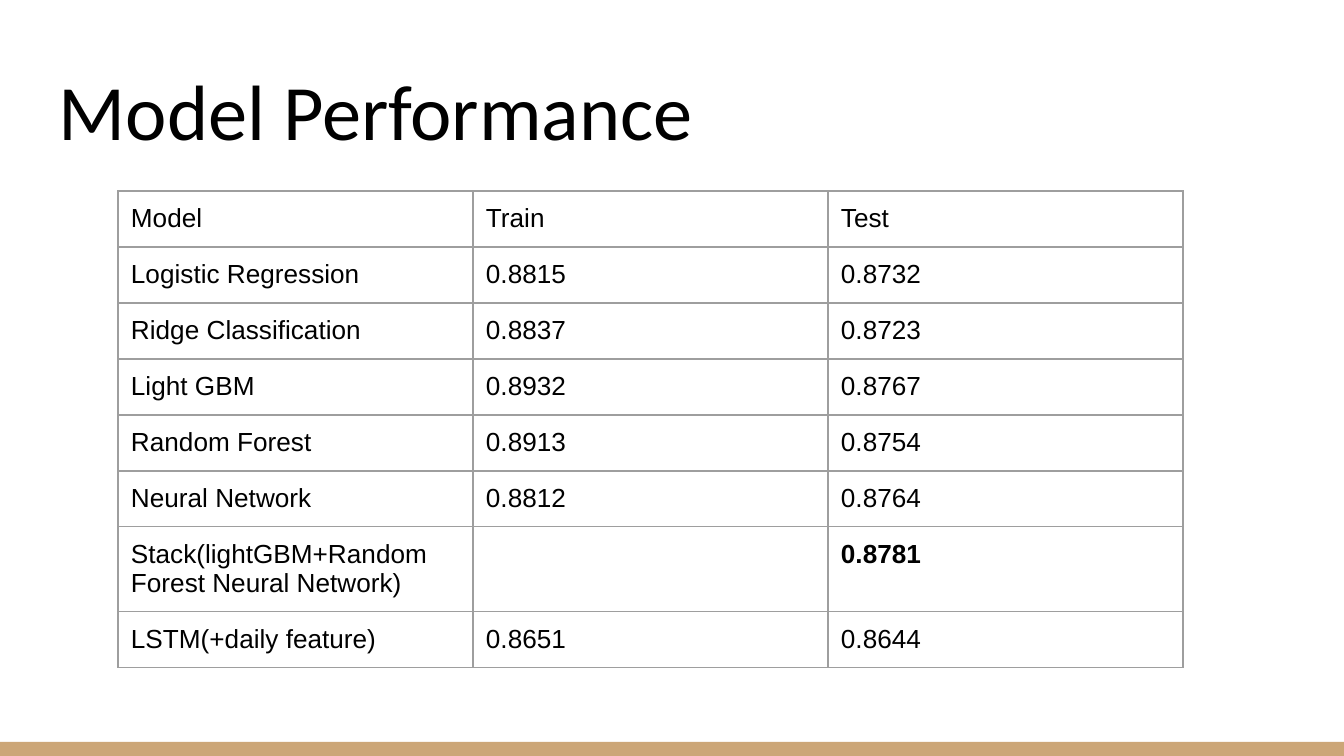
from lxml import etree
from pptx import Presentation, util as u
from pptx.dml.color import RGBColor
from pptx.enum import shapes, text
from pptx.oxml import ns

SCALE = 914400 / 134.4
COLORS = {"text": "000000", "band": "CCA677", "grid": "9E9E9E"}
INSET = 13
ROW_HEIGHT, TALL_ROW_HEIGHT = 56, 85
COLUMN_WIDTH = 355

SCORES = [
    ("Model", "Train", "Test"),
    ("Logistic Regression", "0.8815", "0.8732"),
    ("Ridge Classification", "0.8837", "0.8723"),
    ("Light GBM", "0.8932", "0.8767"),
    ("Random Forest", "0.8913", "0.8754"),
    ("Neural Network", "0.8812", "0.8764"),
    ("Stack(lightGBM+Random Forest Neural Network)", "", "0.8781"),
    ("LSTM(+daily feature)", "0.8651", "0.8644"),
]
BEST = "0.8781"


def px(n):
    return u.Emu(round(n * SCALE))


def write(holder, words, font="Arial", size=14, bold=False, anchor=text.MSO_ANCHOR.TOP):
    """Put words into a text frame or cell, with equal insets on all sides."""
    holder.margin_left = holder.margin_right = px(INSET)
    holder.margin_top = holder.margin_bottom = px(INSET)
    holder.vertical_anchor = anchor
    frame = getattr(holder, "text_frame", holder)
    paragraph = frame.paragraphs[0]
    paragraph.alignment = text.PP_ALIGN.LEFT
    style = paragraph.font
    if words:
        run = paragraph.add_run()
        run.text = words
        style = run.font
    style.name, style.size, style.bold = font, u.Pt(size), bold
    style.color.rgb = RGBColor.from_string(COLORS["text"])


deck = Presentation()
deck.slide_width, deck.slide_height = px(1344), px(756)
slide = deck.slides.add_slide(deck.slide_layouts[5])

band = slide.shapes.add_shape(
    shapes.MSO_SHAPE.RECTANGLE, px(0), px(742), px(1344), px(14))
band.shadow.inherit = False
band.fill.solid()
band.fill.fore_color.rgb = RGBColor.from_string(COLORS["band"])
band.line.fill.background()

title = slide.shapes.title
title.left, title.top, title.width, title.height = px(46), px(47), px(1252), px(122)
title.text_frame.auto_size = text.MSO_AUTO_SIZE.NONE
title.text_frame.word_wrap = True
write(title.text_frame, "Model Performance", font="Calibri", size=42,
      anchor=text.MSO_ANCHOR.BOTTOM)

performance = slide.shapes.add_table(
    len(SCORES), 3, px(118), px(191), px(3 * COLUMN_WIDTH),
    px(7 * ROW_HEIGHT + TALL_ROW_HEIGHT)).table
performance.first_row = performance.horz_banding = False
for column in performance.columns:
    column.width = px(COLUMN_WIDTH)

for r, scores in enumerate(SCORES):
    tall = scores[0].startswith("Stack")
    performance.rows[r].height = px(TALL_ROW_HEIGHT if tall else ROW_HEIGHT)
    for c, words in enumerate(scores):
        cell = performance.cell(r, c)
        write(cell, words, bold=words == BEST)
        cell.fill.background()
        properties = cell._tc.get_or_add_tcPr()
        # Borders must come before the fill in the cell properties.
        for i, side in enumerate(("lnL", "lnR", "lnT", "lnB")):
            border = etree.Element(ns.qn(f"a:{side}"), w=str(u.Pt(0.75)))
            stroke = etree.SubElement(border, ns.qn("a:solidFill"))
            etree.SubElement(stroke, ns.qn("a:srgbClr"), val=COLORS["grid"])
            properties.insert(i, border)

deck.save("out.pptx")
